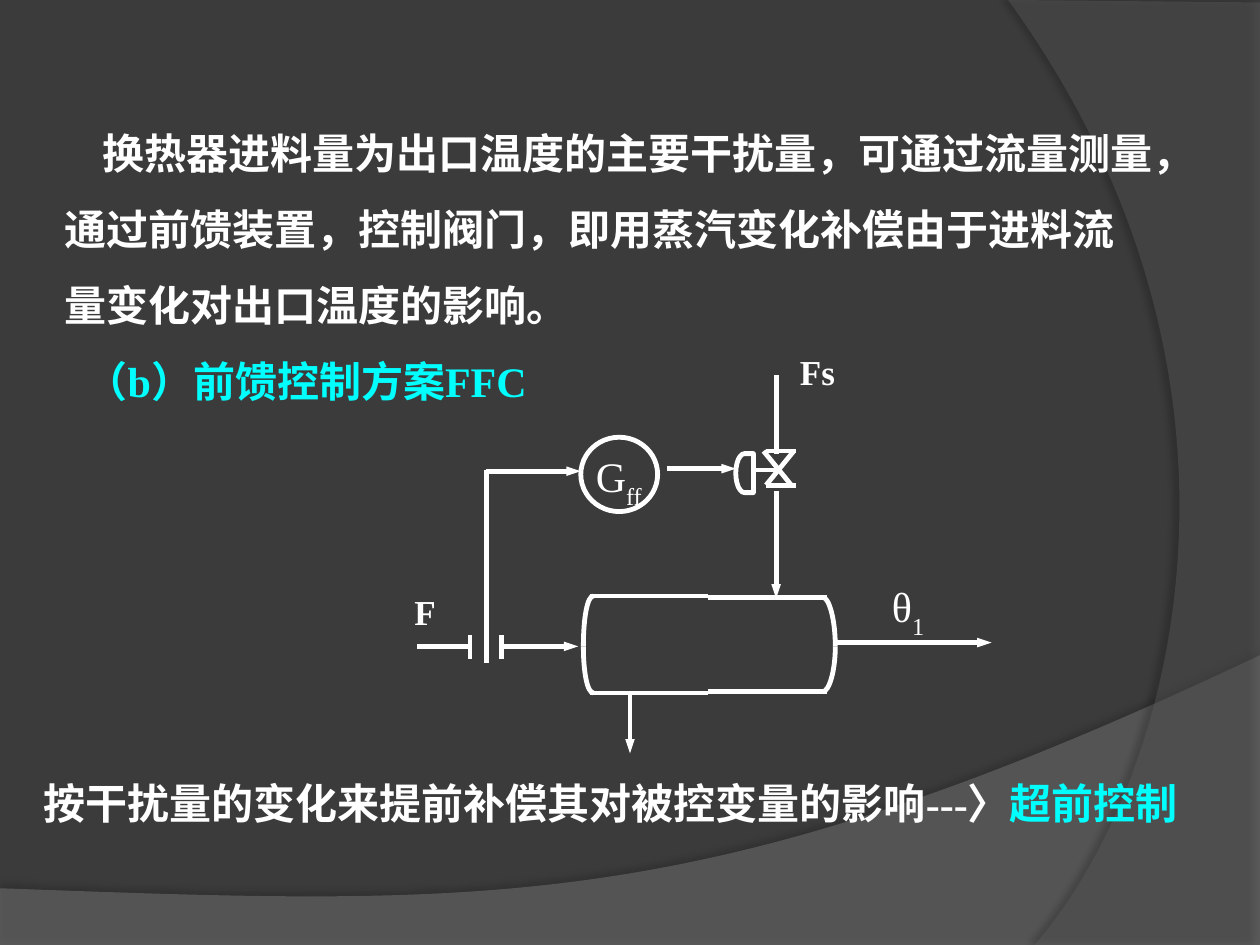
import pptx
import pptx.dml.color
import pptx.enum.shapes
import pptx.enum.text
import pptx.oxml
import pptx.oxml.ns
import pptx.util
from dataclasses import dataclass

CELL = pptx.util.Inches(0.1)  # grid of 100 columns by 75 rows
MSO_SHAPE = pptx.enum.shapes.MSO_SHAPE
qualified = pptx.oxml.ns.qn


@dataclass(frozen=True)
class Theme:
    background: str = "3B3B3B"
    wave: str = "7F7F7F"
    arc: str = "5E5E5E"
    text: str = "FFFFFF"
    accent: str = "00FFFF"
    latin: str = "Times New Roman"
    asian: str = "Noto Sans CJK SC"
    body_size: int = 24
    label_size: int = 20
    line_width: float = 2.75


THEME = Theme()


def grid(*cells):
    return [round(cell * CELL) for cell in cells]


def color(value):
    return pptx.dml.color.RGBColor.from_string(value)


def add_xml(parent, xml):
    namespace = pptx.oxml.ns.nsdecls("a")
    element = pptx.oxml.parse_xml(xml.replace(">", f" {namespace}>", 1))
    parent.append(element)
    return element


def apply_format(target, values):
    for name, value in values.items():
        setattr(target, name, value)


# Text
def add_run(paragraph, text, size=THEME.body_size, tint=THEME.text, bold=True,
            font=THEME.latin, subscript=False):
    run = paragraph.add_run()
    run.text = text
    apply_format(run.font, {"name": font, "size": pptx.util.Pt(size), "bold": bold})
    run.font.color.rgb = color(tint)
    if subscript:
        run.font._element.set("baseline", "-30000")


def place_text(shape, box, wrap=True):
    apply_format(shape, dict(zip(("left", "top", "width", "height"), grid(*box))))
    apply_format(shape.text_frame, {
        "word_wrap": wrap, "vertical_anchor": pptx.enum.text.MSO_ANCHOR.TOP,
        "auto_size": pptx.enum.text.MSO_AUTO_SIZE.NONE})
    return shape.text_frame


def format_paragraph(paragraph, spacing=1.0, before=0, left=0, indent=0):
    apply_format(paragraph, {"alignment": pptx.enum.text.PP_ALIGN.LEFT,
                             "line_spacing": spacing,
                             "space_before": pptx.util.Pt(before)})
    properties = paragraph._p.get_or_add_pPr()
    for name, cells in (("marL", left), ("indent", indent)):
        properties.set(name, str(grid(cells)[0]))
    add_xml(properties, "<a:buNone></a:buNone>")


def add_label(shapes, box, runs):
    frame = place_text(shapes.add_textbox(*grid(*box)), box, wrap=False)
    for values in runs:
        add_run(frame.paragraphs[0], **values)


# Outlines
def add_curved_outline(shapes, points, close):
    """Draw straight segments, with the last three points as one Bezier curve."""
    points = [grid(*point) for point in points]
    builder = shapes.build_freeform(*points[0], scale=1.0)
    builder.add_line_segments(points[1:], close=close)
    shape = builder.convert_to_shape()
    shape.shadow.inherit = False
    outline = shape._element.spPr.find(".//" + qualified("a:path"))
    segments = outline.findall(qualified("a:lnTo"))[-3:]
    bezier = add_xml(outline, "<a:cubicBezTo></a:cubicBezTo>")
    segments[0].addprevious(bezier)
    for segment in segments:
        bezier.append(segment[0])
        outline.remove(segment)
    return shape


def add_backdrop(shapes, points, fill, opacity, shadow_opacity, distance, direction):
    shape = add_curved_outline(shapes, points, close=True)
    shape.fill.solid()
    shape.fill.fore_color.rgb = color(fill)
    properties = shape._element.spPr
    add_xml(properties.find(".//" + qualified("a:srgbClr")),
            f'<a:alpha val="{opacity * 1000}"></a:alpha>')
    shape.line.fill.background()
    add_xml(properties.find(qualified("a:effectLst")),
            f'<a:outerShdw blurRad="{pptx.util.Pt(4)}" dist="{pptx.util.Pt(distance)}" '
            f'dir="{direction * 60000}" algn="ctr" rotWithShape="0"><a:srgbClr val="000000">'
            f'<a:alpha val="{shadow_opacity * 1000}"/></a:srgbClr></a:outerShdw>')
    return shape


def format_line(line):
    line.color.rgb = color(THEME.text)
    line.width = pptx.util.Pt(THEME.line_width)


def add_pipe(shapes, start, end, arrow=False):
    connector = shapes.add_connector(pptx.enum.shapes.MSO_CONNECTOR.STRAIGHT,
                                     *grid(*start, *end))
    format_line(connector.line)
    if arrow:
        add_xml(connector.line._get_or_add_ln(),
                '<a:tailEnd type="triangle" w="sm" len="med"></a:tailEnd>')
    add_xml(connector._element.spPr, "<a:effectLst></a:effectLst>")


def add_symbol(shapes, kind, box):
    shape = shapes.add_shape(kind, *grid(*box))
    shape.shadow.inherit = False
    shape.fill.background()
    format_line(shape.line)
    shape._element.spPr.xfrm.set("flipH", "1")


# Parts of the slide
def draw_backdrop(slide):
    slide.background.fill.solid()
    slide.background.fill.fore_color.rgb = color(THEME.background)
    wave = [(0, 70.5), (0, 75.1), (100, 75.1), (100, 52),
            (55.9, 72.9), (39.1, 71.9), (0, 70.5)]
    arc = [(80, 0), (100, 0.2), (100, 75), (82.1, 75), (93.5, 61.9), (101.8, 30), (80, 0)]
    backdrops = (add_backdrop(slide.shapes, wave, THEME.wave, 45, 35, 3.5, 270),
                 add_backdrop(slide.shapes, arc, THEME.arc, 40, 45, 4, 180))
    # Send both shapes behind the placeholders
    first_placeholder = slide.placeholders[0]._element
    for shape in backdrops:
        first_placeholder.addprevious(shape._element)


def write_text(slide):
    heading, body = slide.placeholders
    paragraph = place_text(heading, (5.8, 27.7, 37.5, 5)).paragraphs[0]
    format_paragraph(paragraph)
    add_run(paragraph, "（b）前馈控制方案FFC", tint=THEME.accent)

    frame = place_text(body, (4.15, 7.65, 93.4, 18.4))
    lines = ("换热器进料量为出口温度的主要干扰量，可通过流量测量，",
             "通过前馈装置，控制阀门，即用蒸汽变化补偿由于进料流",
             "量变化对出口温度的影响。")
    for index, text in enumerate(lines):
        paragraph = frame.add_paragraph() if index else frame.paragraphs[0]
        format_paragraph(paragraph, spacing=1.5, indent=0 if index else 2.97)
        add_run(paragraph, text)

    box = (2.5, 61.7, 94.2, 6.7)
    paragraph = place_text(slide.shapes.add_textbox(*grid(*box)), box).paragraphs[0]
    format_paragraph(paragraph, spacing=0.9, before=4.8, left=3.8, indent=-3.8)
    add_run(paragraph, "按干扰量的变化来提前补偿其对被控变量的影响---〉")
    add_run(paragraph, "超前控制", tint=THEME.accent, font=THEME.asian)


def draw_exchanger(shapes):
    middle = 51.3
    # Each half: joint, wall end, cap corner, cap bend, cap tip, top, bottom
    halves = ((56.2, 46.8, 47.1, 46.6, 46.3, 47.3, 55),
              (56.2, 65.6, 65.3, 65.8, 66.3, 47.4, 54.9))
    for joint, wall, corner, bend, tip, top, bottom in halves:
        for level in (top, bottom):
            add_pipe(shapes, (joint, level), (wall, level))
            shoulder = middle + (level - middle) * 0.55
            cap = add_curved_outline(shapes, [(tip, middle), (tip, shoulder),
                                              (bend, level), (corner, level)], close=False)
            cap.fill.background()
            format_line(cap.line)


def draw_valve(shapes):
    top, bottom = 35.8, 38.5
    for start, end in (((60.8, top), (63.2, top)), ((60.8, bottom), (63.2, bottom)),
                       ((60.6, top), (62.8, bottom)), ((60.8, bottom), (63, top)),
                       ((61.9, 37.3), (59.7, 37.3))):
        add_pipe(shapes, start, end)
    add_symbol(shapes, MSO_SHAPE.FLOWCHART_DELAY, (58.4, 36, 1.4, 3.1))


def draw_piping(shapes):
    for start, end in (((50, 55), (50, 59.8)), ((66.4, 51), (78.7, 51)),
                       ((61.6, 39), (61.6, 47.5)), ((38.6, 37.4), (46.1, 37.4)),
                       ((52.9, 37.2), (58.4, 37.2)), ((40, 51.3), (45.9, 51.3))):
        add_pipe(shapes, start, end, arrow=True)
    for start, end in (((61.6, 36), (61.6, 29.8)), ((38.6, 52.6), (38.6, 37.3)),
                       ((39.8, 50.4), (39.8, 52.3)), ((37.3, 50.4), (37.3, 52.3)),
                       ((37.3, 51.3), (33.1, 51.3))):
        add_pipe(shapes, start, end)
    add_symbol(shapes, MSO_SHAPE.OVAL, (46.1, 34.7, 6.1, 5.9))


def write_labels(shapes):
    for text, box in (("F", (31.9, 46.4, 3.7, 4.3)), ("Fs", (62.5, 27.3, 4.8, 4.3))):
        add_label(shapes, box, [{"text": text, "size": THEME.label_size}])
    for text, index, box in (("G", "ff", (46.3, 35.3, 5.9, 5)), ("θ", "1", (69.8, 45.6, 6.5, 5))):
        add_label(shapes, box, [{"text": text, "bold": False},
                                {"text": index, "bold": False, "subscript": True}])


def main():
    presentation = pptx.Presentation()
    presentation.slide_width, presentation.slide_height = grid(100, 75)
    slide = presentation.slides.add_slide(presentation.slide_layouts[1])
    draw_backdrop(slide)
    write_text(slide)
    diagram = slide.shapes.add_group_shape().shapes
    for draw in (draw_exchanger, draw_valve, draw_piping, write_labels):
        draw(diagram)
    presentation.save("out.pptx")


if __name__ == "__main__":
    main()
